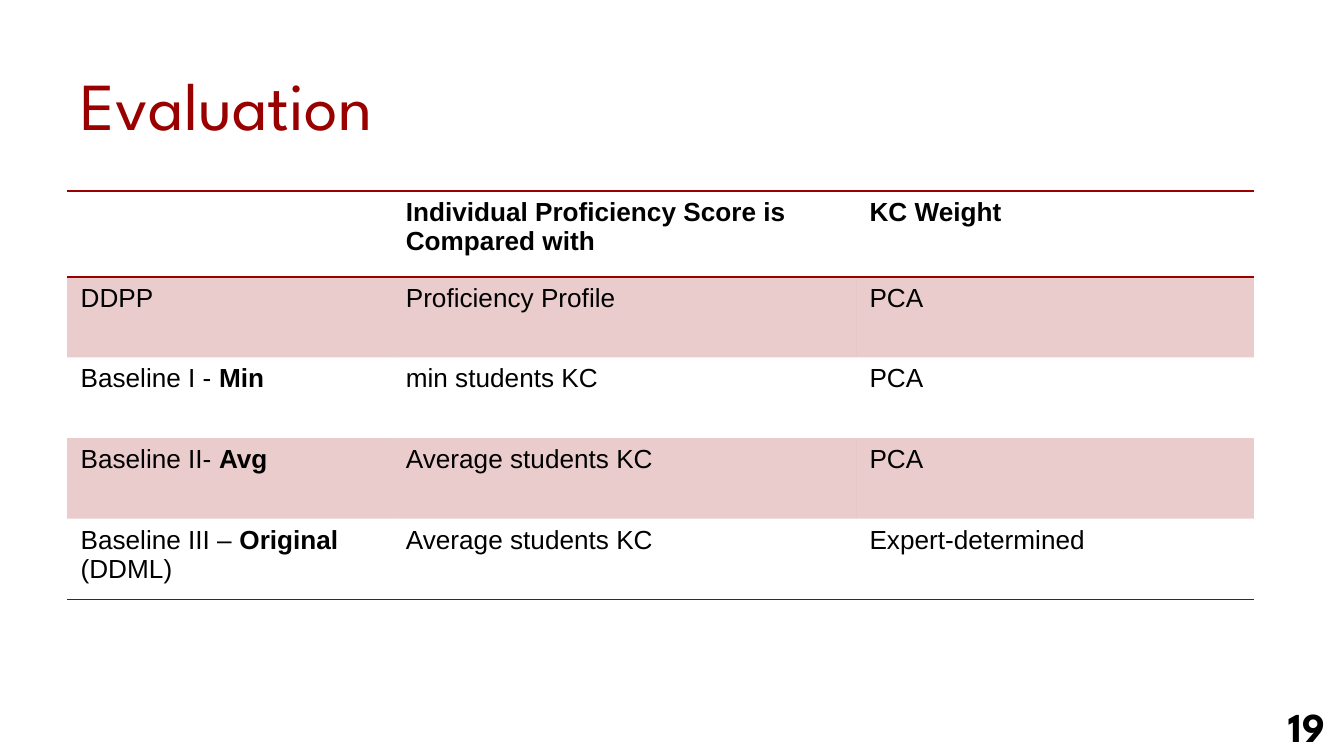
"""Build the Evaluation slide comparing DDPP with its three baselines."""
import pptx
import pptx.dml.color
import pptx.enum.text
import pptx.oxml
import pptx.oxml.ns
import pptx.util
from pptx.util import Inches

RED = pptx.dml.color.RGBColor(0x99, 0x00, 0x00)
BLACK = pptx.dml.color.RGBColor(0x00, 0x00, 0x00)
DISPLAY_FONT = "League Spartan"
BODY_FONT = "Arial"
PLAIN_TABLE_STYLE = "{2D5ABB26-0587-4C30-8999-92F81FD0307C}"

COLUMN_WIDTHS = [2.42, 3.45, 2.96]
ROW_HEIGHTS = [0.64, 0.6, 0.6, 0.6, 0.6]
COMPARISON = [
    ["", "*Individual Proficiency Score is Compared with*", "*KC Weight*"],
    ["DDPP", "Proficiency Profile", "PCA"],
    ["Baseline I - *Min*", "min students KC", "PCA"],
    ["Baseline II- *Avg*", "Average students KC", "PCA"],
    ["Baseline III – *Original* (DDML)", "Average students KC", "Expert-determined"],
]


class EvaluationSlide:
    """Hold the slide and draw its elements in one style."""

    def __init__(self, presentation):
        self.slide = presentation.slides.add_slide(presentation.slide_layouts[5])

    def style(self, font, name, size, color, bold=False):
        """Apply a typeface, size, colour and weight."""
        font.name = name
        font.size = pptx.util.Pt(size)
        font.color.rgb = color
        font.bold = bold

    def label(self, frame, text, size, color, align, anchor, bold=False):
        """Write one display-font line with even insets."""
        frame.text = text
        frame.word_wrap = True
        frame.auto_size = pptx.enum.text.MSO_AUTO_SIZE.NONE
        frame.vertical_anchor = anchor
        frame.margin_left = frame.margin_right = Inches(0.1)
        frame.margin_top = frame.margin_bottom = Inches(0.1)
        line = frame.paragraphs[0]
        line.alignment = align
        self.style(line.runs[0].font, DISPLAY_FONT, size, color, bold)

    def title(self, text, left, top, width, height):
        """Place the slide title."""
        heading = self.slide.shapes.title
        heading.left, heading.top = Inches(left), Inches(top)
        heading.width, heading.height = Inches(width), Inches(height)
        self.label(heading.text_frame, text, 36, RED, pptx.enum.text.PP_ALIGN.LEFT,
                   pptx.enum.text.MSO_ANCHOR.BOTTOM)

    def page_number(self, text, left, top, width, height):
        """Place the page number."""
        number = self.slide.shapes.add_textbox(
            Inches(left), Inches(top), Inches(width), Inches(height))
        self.label(number.text_frame, text, 22, BLACK, pptx.enum.text.PP_ALIGN.RIGHT,
                   pptx.enum.text.MSO_ANCHOR.MIDDLE, bold=True)

    def shade(self, cell):
        """Fill a cell with translucent red."""
        cell.fill.solid()
        cell.fill.fore_color.rgb = RED
        tint = cell._tc.tcPr.find(".//" + pptx.oxml.ns.qn("a:srgbClr"))
        tint.append(pptx.oxml.parse_xml(
            f'<a:alpha {pptx.oxml.ns.nsdecls("a")} val="20000"/>'))

    def rule(self, cell, sides):
        """Draw red one-point borders on the given sides."""
        for position, side in enumerate(sides):
            cell._tc.get_or_add_tcPr().insert(position, pptx.oxml.parse_xml(
                f'<a:ln{side} {pptx.oxml.ns.nsdecls("a")} w="12700"><a:solidFill>'
                f'<a:srgbClr val="{RED}"/></a:solidFill></a:ln{side}>'))

    def table(self, rows, left, top):
        """Place a ruled, banded table; asterisks enclose bold words."""
        frame = self.slide.shapes.add_table(
            len(rows), len(COLUMN_WIDTHS), Inches(left), Inches(top),
            Inches(sum(COLUMN_WIDTHS)), Inches(sum(ROW_HEIGHTS)))
        grid = frame.table
        grid.first_row = grid.horz_banding = False
        grid._tbl.tblPr.find(pptx.oxml.ns.qn("a:tableStyleId")).text = PLAIN_TABLE_STYLE
        for column, width in zip(grid.columns, COLUMN_WIDTHS):
            column.width = Inches(width)
        borders = {0: "TB", len(rows) - 1: "B"}
        for row_index, (row, height) in enumerate(zip(rows, ROW_HEIGHTS)):
            grid.rows[row_index].height = Inches(height)
            for column_index, text in enumerate(row):
                cell = grid.cell(row_index, column_index)
                if row_index % 2:
                    self.shade(cell)
                else:
                    cell.fill.background()
                self.rule(cell, borders.get(row_index, ""))
                paragraph = cell.text_frame.paragraphs[0]
                paragraph.font.size = pptx.util.Pt(14)
                for part, words in enumerate(text.split("*")):
                    if words:
                        run = paragraph.add_run()
                        run.text = words
                        self.style(run.font, BODY_FONT, 14, BLACK, part % 2 == 1)


def main():
    """Build and save the presentation."""
    presentation = pptx.Presentation()
    presentation.slide_width = Inches(10)
    presentation.slide_height = presentation.slide_width * 9 // 16
    evaluation = EvaluationSlide(presentation)
    evaluation.title("Evaluation", 0.5, 0.23, 9, 0.94)
    evaluation.table(COMPARISON, 0.5, 1.42)
    evaluation.page_number("19", 9.36, 5.19, 0.6, 0.43)
    presentation.save("out.pptx")


if __name__ == "__main__":
    main()
